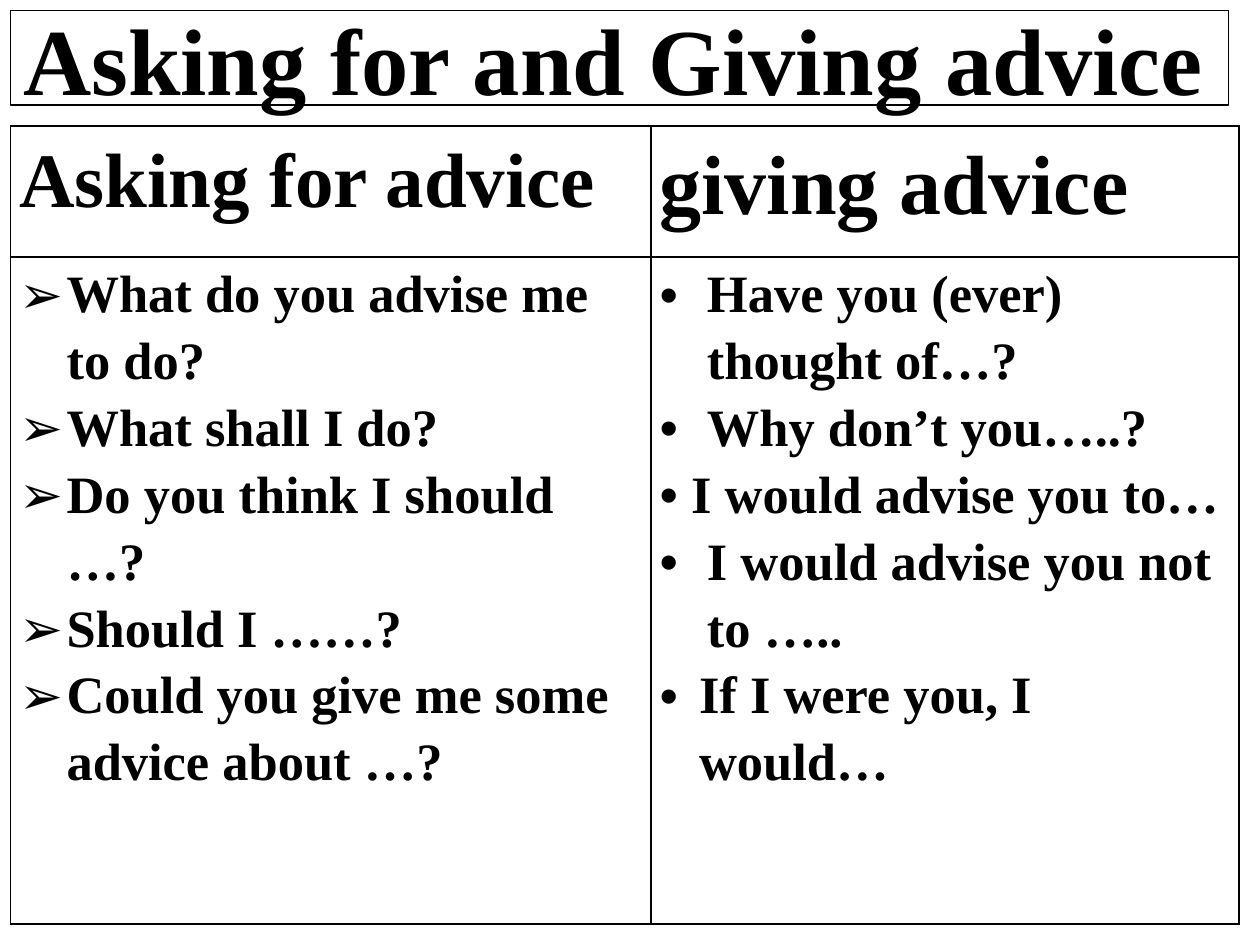
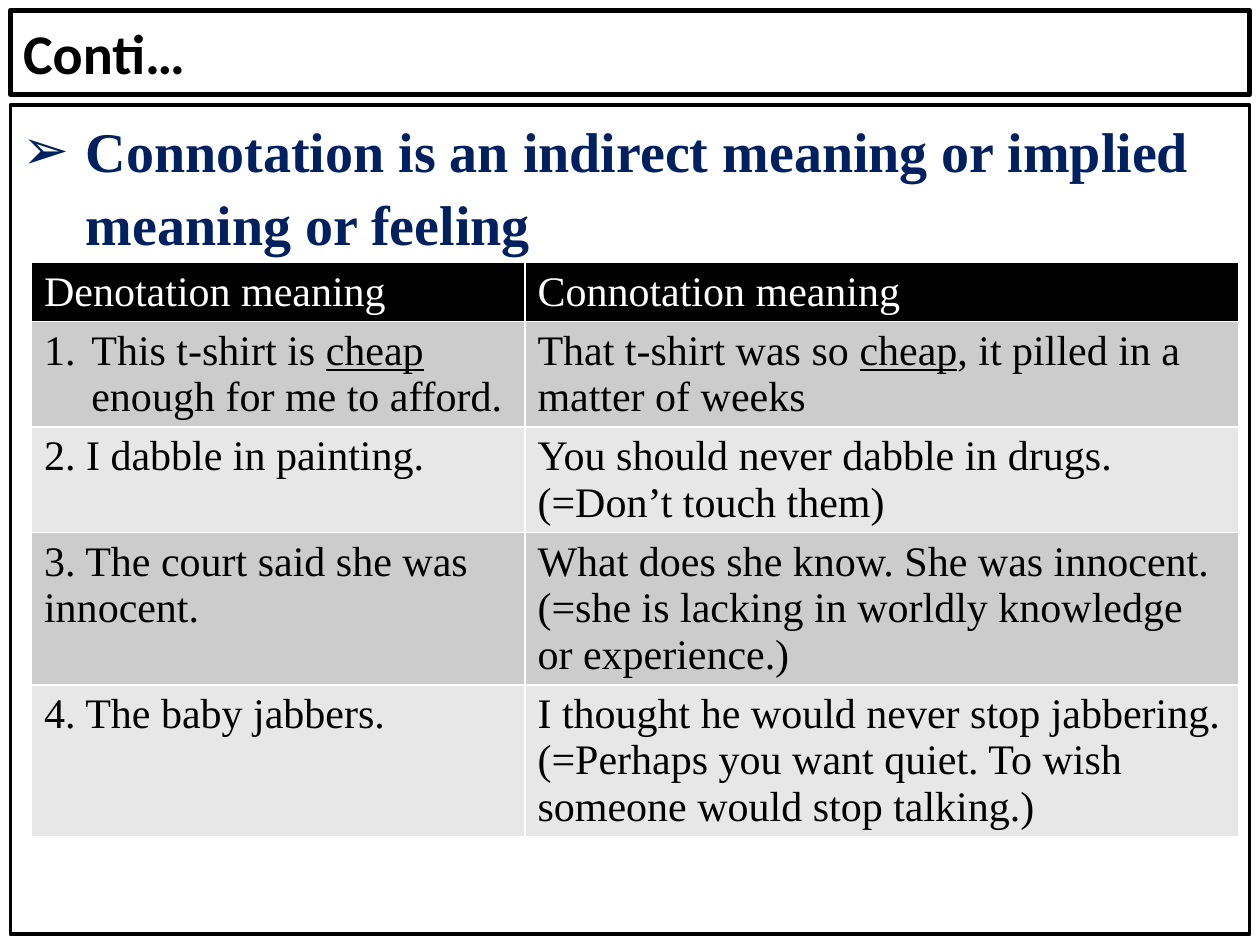
from dataclasses import dataclass

from lxml import etree
from pptx import Presentation
from pptx.dml.color import RGBColor
from pptx.enum.shapes import MSO_SHAPE
from pptx.enum.text import MSO_ANCHOR, MSO_AUTO_SIZE, PP_ALIGN
from pptx.oxml.ns import qn
from pptx.util import Pt

RECT = MSO_SHAPE.RECTANGLE
LEFT = PP_ALIGN.LEFT
TOP, MIDDLE = MSO_ANCHOR.TOP, MSO_ANCHOR.MIDDLE
NO_FIT = MSO_AUTO_SIZE.NONE
TITLE_ONLY = 5
ARROW, DOT, NUMBER = "➢", "•", "1."


@dataclass(frozen=True)
class Theme:
    black: str = "000000"
    white: str = "FFFFFF"
    navy: str = "002060"
    bands: tuple = ("CCCCCC", "E7E7E7")
    serif: str = "Times New Roman"
    sans: str = "Calibri"
    banner: int = 54
    giving: int = 48
    asking: int = 44
    lead: int = 32
    phrase: int = 30
    cell: int = 24
    edge: int = 6


THEME = Theme()


@dataclass(frozen=True)
class Style:
    size: int
    bold: bool = True
    color: str = THEME.black
    font: str = THEME.serif
    lines: float = 1.0


def rgb(code):
    return RGBColor.from_string(code)


def bullet(para, mark, indent):
    props = para._p.get_or_add_pPr()
    props.set("marL", str(Pt(indent)))
    props.set("indent", str(-Pt(indent)))
    if mark == NUMBER:
        etree.SubElement(props, qn("a:buAutoNum"), type="arabicPeriod")
    else:
        etree.SubElement(props, qn("a:buFont"), typeface="Arial")
        etree.SubElement(props, qn("a:buChar"), char=mark)


def write(para, text, style, mark=None, indent=0):
    """Add text in runs; parts between underscores are underlined."""
    if mark:
        bullet(para, mark, indent)
    para.alignment = LEFT
    para.line_spacing = style.lines
    for index, part in enumerate(text.split("_")):
        run = para.add_run()
        run.text = part
        font = run.font
        font.name, font.size, font.bold = style.font, Pt(style.size), style.bold
        font.color.rgb = rgb(style.color)
        if index % 2:
            font.underline = True


def write_list(frame, items, style):
    """Write (text, mark, indent) items, one paragraph each."""
    for index, item in enumerate(items):
        para = frame.add_paragraph() if index else frame.paragraphs[0]
        write(para, item[0], style, *item[1:])


def outline(shape, width):
    shape.line.color.rgb = rgb(THEME.black)
    shape.line.width = Pt(width)


def add_slide(deck, text, style, width, height, line):
    slide = deck.slides.add_slide(deck.slide_layouts[TITLE_ONLY])
    title = slide.shapes.title
    title.left = title.top = Pt(THEME.edge)
    title.width, title.height = Pt(width), Pt(height)
    outline(title, line)
    frame = title.text_frame
    frame.auto_size, frame.vertical_anchor = NO_FIT, MIDDLE
    write(frame.paragraphs[0], text, style)
    return slide


def add_panel(slide, box, items, style, line):
    panel = slide.shapes.add_shape(RECT, *map(Pt, box))
    panel.shadow.inherit = False
    panel.fill.background()
    outline(panel, line)
    frame = panel.text_frame
    frame.word_wrap, frame.vertical_anchor = True, TOP
    write_list(frame, items, style)


def add_grid(slide, left, top, cols, rows):
    shape = slide.shapes.add_table(len(rows), len(cols), Pt(left), Pt(top),
                                   Pt(sum(cols)), Pt(sum(rows)))
    table = shape.table
    table.first_row = table.horz_banding = False
    for col, width in zip(table.columns, cols):
        col.width = Pt(width)
    for row, height in zip(table.rows, rows):
        row.height = Pt(height)
    return table


def fill_cell(cell, items, style, edge, fill=None):
    props = cell._tc.get_or_add_tcPr()
    for side in ("lnL", "lnR", "lnT", "lnB"):
        line = etree.SubElement(props, qn(f"a:{side}"), w=str(Pt(1)))
        solid = etree.SubElement(line, qn("a:solidFill"))
        etree.SubElement(solid, qn("a:srgbClr"), val=edge)
    if fill:
        cell.fill.solid()
        cell.fill.fore_color.rgb = rgb(fill)
    else:
        cell.fill.background()
    write_list(cell.text_frame, items, style)


def add_advice(deck):
    slide = add_slide(deck, "Asking for and Giving advice",
                      Style(THEME.banner), 696, 54, 1)
    asking = [(text, ARROW, 27) for text in (
        "What do you advise me to do?",
        "What shall I do?",
        "Do you think I should …?",
        "Should I ……?",
        "Could you give me some advice about …?")]
    giving = [
        ("Have you (ever) thought of…?", DOT, 27),
        ("Why don’t you…..?", DOT, 27),
        ("I would advise you to…", DOT, 18),
        ("I would advise you not to …..", DOT, 27),
        ("If I were you, I would…", DOT, 22.5)]
    heads = (("Asking for advice", THEME.asking),
             ("giving advice", THEME.giving))
    table = add_grid(slide, THEME.edge, 72, (366, 336), (75, 381))
    phrase = Style(THEME.phrase, lines=1.15)
    for col, (head, items) in enumerate(zip(heads, (asking, giving))):
        text, size = head
        fill_cell(table.cell(0, col), [(text,)], Style(size, lines=1.15),
                  THEME.black)
        fill_cell(table.cell(1, col), items, phrase, THEME.black)
    for cell in table.iter_cells():
        cell.margin_left = cell.margin_right = Pt(5)
        cell.margin_top = cell.margin_bottom = 0


def add_meaning(deck):
    slide = add_slide(deck, "Conti…", Style(THEME.lead, font=THEME.sans),
                      708, 48, 3)
    lead = ("Connotation is an indirect meaning or implied meaning or feeling",
            ARROW, 36)
    add_panel(slide, (THEME.edge, 60, 708, 474), [lead],
              Style(THEME.lead, color=THEME.navy, lines=1.08), 2.25)
    pairs = [
        (("Denotation meaning",), ("Connotation meaning",)),
        (("This t-shirt is _cheap_ enough for me to afford.", NUMBER, 27),
         ("That t-shirt was so _cheap_, it pilled in a matter of weeks",)),
        (("2. I dabble in painting.",),
         ("You should never dabble in drugs. (=Don’t touch them)",)),
        (("3. The court said she was innocent.",),
         ("What does she know. She was innocent. "
          "(=she is lacking in worldly knowledge or experience.)",)),
        (("4. The baby jabbers.",),
         ("I thought he would never stop jabbering. (=Perhaps you want "
          "quiet. To wish someone would stop talking.)",))]
    table = add_grid(slide, 18, 150, (282, 408), (33, 60, 60, 87, 87))
    for row, pair in enumerate(pairs):
        fill = THEME.bands[(row - 1) % 2] if row else THEME.black
        ink = THEME.black if row else THEME.white
        style = Style(THEME.cell, bold=False, color=ink)
        for col, item in enumerate(pair):
            fill_cell(table.cell(row, col), [item], style, THEME.white, fill)


def main():
    deck = Presentation()
    deck.slide_width, deck.slide_height = Pt(720), Pt(540)
    add_advice(deck)
    add_meaning(deck)
    deck.save("out.pptx")


if __name__ == "__main__":
    main()
